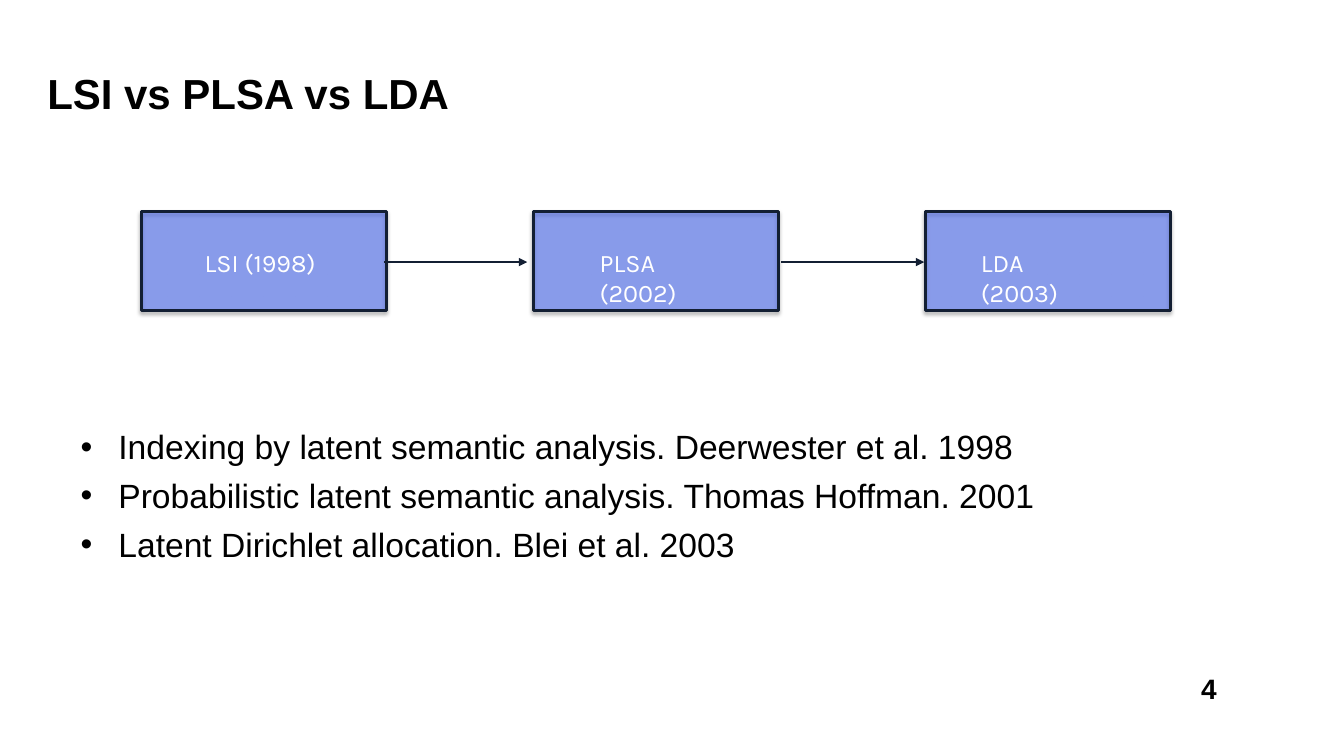
from lxml import etree
from pptx import Presentation
from pptx.dml.color import RGBColor
from pptx.enum.shapes import MSO_CONNECTOR, MSO_SHAPE
from pptx.enum.text import MSO_ANCHOR, PP_ALIGN
from pptx.oxml.ns import qn
from pptx.util import Pt

RECTANGLE = MSO_SHAPE.RECTANGLE
STRAIGHT = MSO_CONNECTOR.STRAIGHT
TOP = MSO_ANCHOR.TOP
LEFT, CENTER = PP_ALIGN.LEFT, PP_ALIGN.CENTER

NAVY = "131F33"
BLACK = "000000"
WHITE = "FFFFFF"
BOX_LEFT, BOX_TOP, BOX_WIDTH, BOX_HEIGHT = 101, 151.2, 175, 70.6
BOX_PITCH = 280
LABEL_TOP, LABEL_WIDTH, LABEL_HEIGHT = 172.8, 89, 28
ARROW_Y = 187.2

METHODS = [("LSI (1998)", 142.6), ("PLSA (2002)", 424.8), ("LDA (2003)", 697)]
ARROWS = [(274.3, 376.6), (558, 660.2)]
PAPERS = [
    "Indexing by latent semantic analysis. Deerwester et al. 1998",
    "Probabilistic latent semantic analysis. Thomas Hoffman. 2001",
    "Latent Dirichlet allocation. Blei et al. 2003",
]


def rgb(value):
    return RGBColor.from_string(value)


def add_xml(parent, tag, **attributes):
    return etree.SubElement(parent, qn(tag), attributes)


def style(frame, size, color, font="Arial", bold=False, align=LEFT, inset=3.6):
    frame.vertical_anchor = TOP
    frame.margin_left = frame.margin_right = Pt(inset)
    frame.margin_top = frame.margin_bottom = Pt(inset)
    for paragraph in frame.paragraphs:
        paragraph.alignment = align
        for run in paragraph.runs:
            run.font.name = font
            run.font.size = Pt(size)
            run.font.bold = bold
            run.font.color.rgb = rgb(color)


def set_title(slide, text):
    title = slide.shapes.title
    title.left, title.top, title.width, title.height = Pt(30.2), Pt(41.8), Pt(831), Pt(51.8)
    title.text_frame.text = text
    style(title.text_frame, 30, BLACK, bold=True)
    title.text_frame.margin_top = Pt(6.5)


def add_text(slide, text, left, top, width, height, wrap=True):
    frame = slide.shapes.add_textbox(Pt(left), Pt(top), Pt(width), Pt(height)).text_frame
    frame.word_wrap = wrap
    frame.text = text
    return frame


def add_method_box(slide, left):
    box = slide.shapes.add_shape(RECTANGLE, Pt(left), Pt(BOX_TOP), Pt(BOX_WIDTH), Pt(BOX_HEIGHT))
    box.fill.solid()
    box.fill.fore_color.rgb = rgb("0433FF")
    properties = box._element.spPr
    add_xml(properties.find(qn("a:solidFill"))[0], "a:alpha", val="39000")
    box.line.color.rgb = rgb(NAVY)
    box.line.width = Pt(2)
    box.shadow.inherit = False
    shadow = add_xml(properties.find(qn("a:effectLst")), "a:outerShdw",
                     blurRad=str(Pt(3)), dist=str(Pt(1.8)), dir="5400000", rotWithShape="0")
    add_xml(add_xml(shadow, "a:srgbClr", val=BLACK), "a:alpha", val="35000")


def add_arrow(slide, start, end):
    arrow = slide.shapes.add_connector(STRAIGHT, Pt(start), Pt(ARROW_Y), Pt(end), Pt(ARROW_Y))
    arrow.line.color.rgb = rgb(NAVY)
    arrow.line.width = Pt(2)
    add_xml(arrow.line._get_or_add_ln(), "a:tailEnd", type="triangle")
    add_xml(arrow._element.spPr, "a:effectLst")


def add_bullets(slide, items):
    frame = add_text(slide, "\n".join(items), 54, 301, 851.8, 172)
    for index, paragraph in enumerate(frame.paragraphs):
        properties = paragraph._p.get_or_add_pPr()
        properties.set("marL", str(Pt(27)))
        properties.set("indent", str(Pt(-27)))
        add_xml(properties, "a:buFont", typeface="Arial")
        add_xml(properties, "a:buChar", char="•")
        if index:
            paragraph.space_before = Pt(6)
    style(frame, 24, BLACK)


def main():
    presentation = Presentation()
    presentation.slide_width, presentation.slide_height = Pt(960), Pt(540)
    slide = presentation.slides.add_slide(presentation.slide_layouts[5])
    set_title(slide, "LSI vs PLSA vs LDA")
    page_number = add_text(slide, "4", 854.6, 476.6, 18, 28, wrap=False)
    style(page_number, 20, BLACK, bold=True, align=CENTER, inset=2.9)
    add_bullets(slide, PAPERS)
    for index in range(len(METHODS)):
        add_method_box(slide, BOX_LEFT + index * BOX_PITCH)
    for method, left in METHODS:
        label = add_text(slide, method, left, LABEL_TOP, LABEL_WIDTH, LABEL_HEIGHT)
        style(label, 18, WHITE, font="Karla")
    for start, end in ARROWS:
        add_arrow(slide, start, end)
    presentation.save("out.pptx")


if __name__ == "__main__":
    main()
